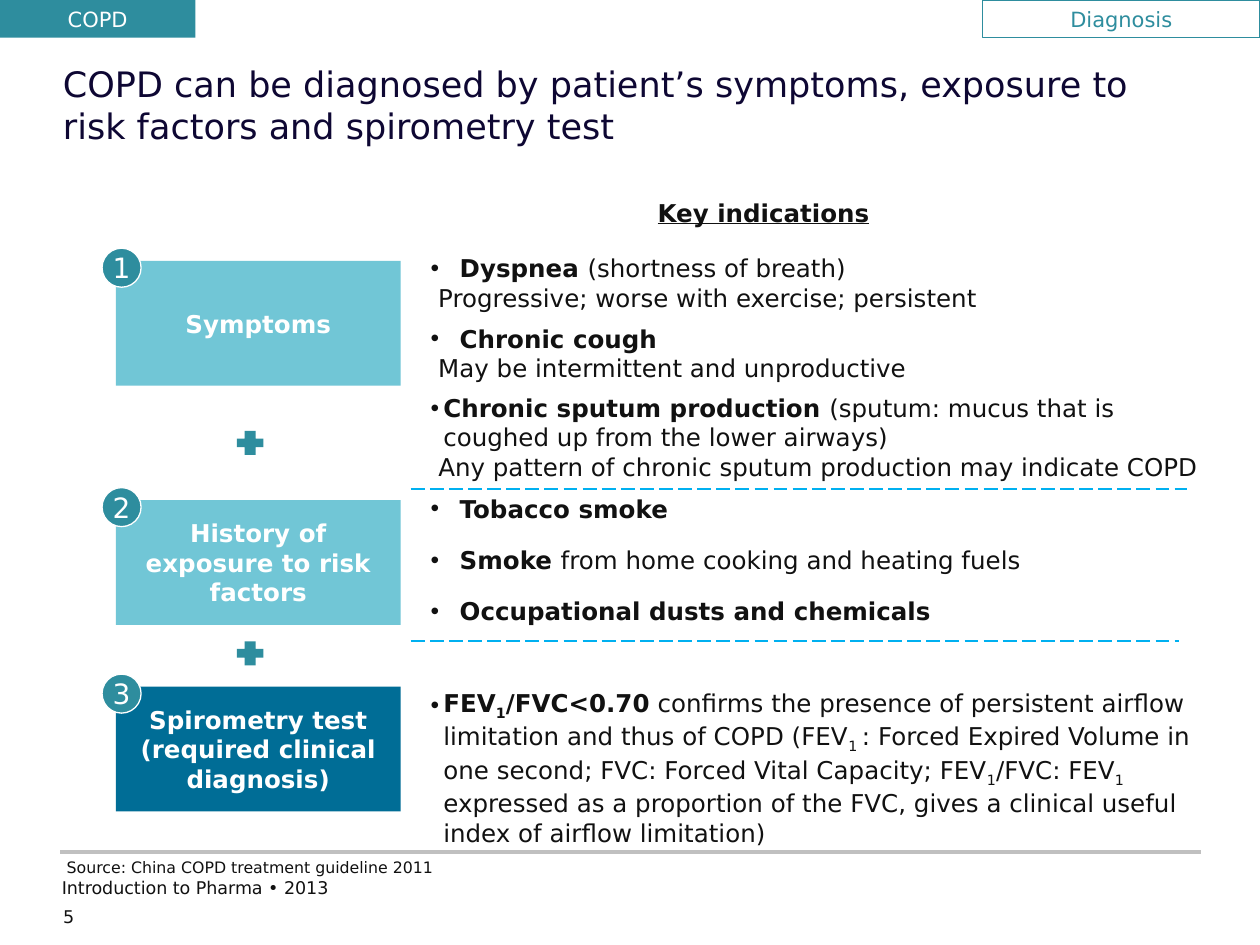
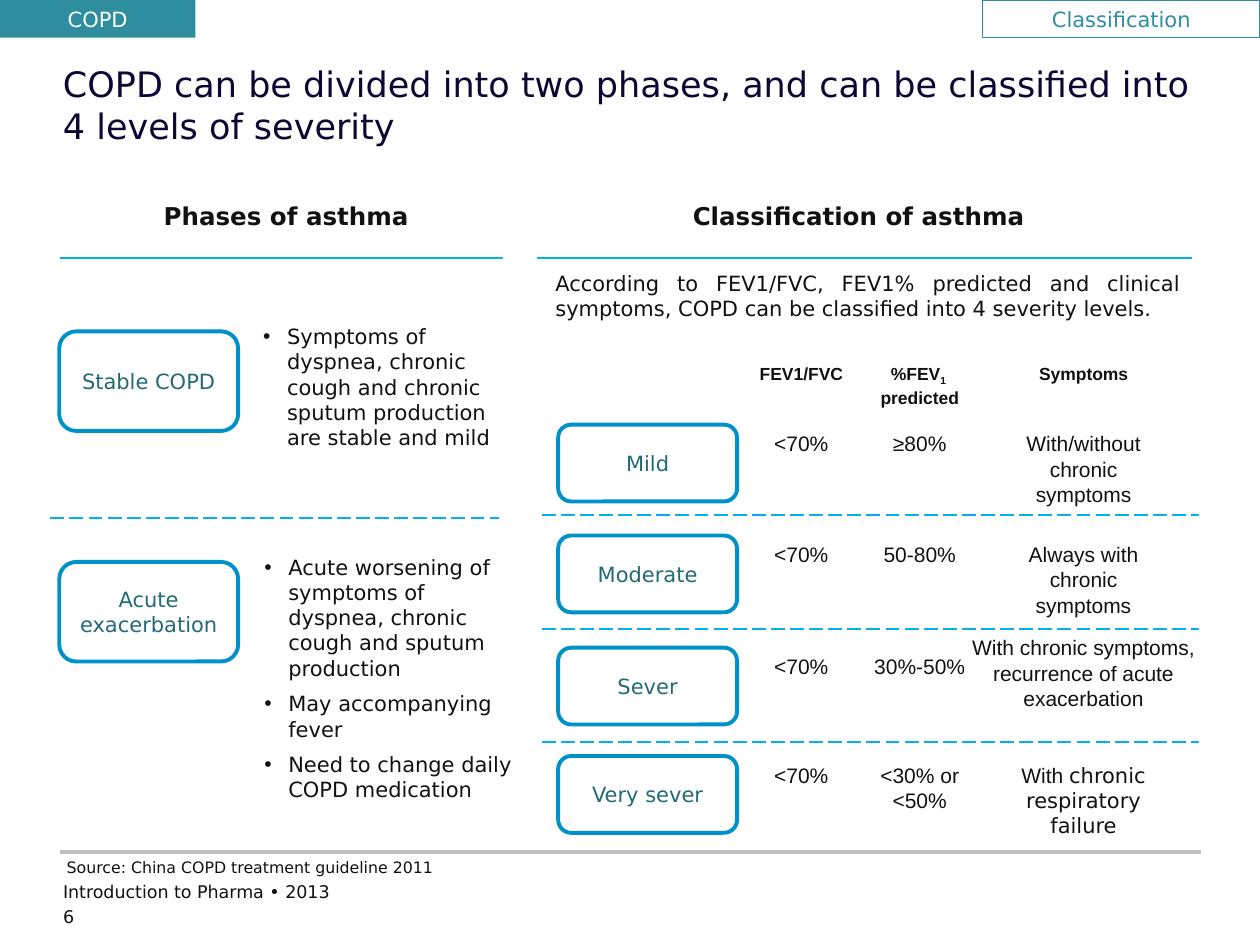
from dataclasses import dataclass
from typing import NamedTuple

import pptx
import pptx.dml.color
import pptx.enum.dml
import pptx.enum.shapes
import pptx.enum.text
import pptx.oxml.ns
import pptx.util
from lxml import etree
from pptx.util import Inches

TEAL = "2E8D9E"
PALE_TEAL = "71C6D6"
DEEP_BLUE = "006D96"
OUTLINE_BLUE = "0091C8"
RULE_BLUE = "00B0F0"
BOX_TEXT = "236A76"
TITLE_NAVY = "0E0733"
INK = "111111"
GREY = "C0C0C0"
WHITE = "FFFFFF"

MAIN_FONT = "DejaVu Sans"
TABLE_FONT = "Arial"

SHAPE = pptx.enum.shapes.MSO_SHAPE
ALIGN = pptx.enum.text.PP_ALIGN
ANCHOR = pptx.enum.text.MSO_ANCHOR
NO_INSETS = (0, 0)


class Run(NamedTuple):
    text: str
    bold: bool = False
    sub: bool = False
    font: str | None = None


class Para(NamedTuple):
    """A paragraph; hang is the width kept for its bullet, 0 for no bullet."""
    runs: list[Run]
    hang: float = 0
    left: float = 0
    before: float = 0


class Box(NamedTuple):
    left: float
    top: float
    width: float
    height: float


@dataclass
class Step:
    label: str
    fill: str
    top: float


@dataclass
class Indication:
    top: float
    paras: list[Para]
    width: float = 5.27
    height: float = 0.57


@dataclass
class Phase:
    label: str
    top: float
    signs_left: float
    signs_height: float
    signs: list[str]


@dataclass
class Severity:
    label: str
    top: float
    predicted: str
    symptoms: str | list[Run]
    symptoms_width: float
    symptoms_rise: float = 0


def rgb(color: str) -> pptx.dml.color.RGBColor:
    return pptx.dml.color.RGBColor.from_string(color)


def set_bullet(p, hang: float, left: float) -> None:
    pPr = p._p.get_or_add_pPr()
    pPr.set("marL", str(Inches(left + hang)))
    pPr.set("indent", str(-Inches(hang)))
    if hang:
        qn = pptx.oxml.ns.qn
        etree.SubElement(pPr, qn("a:buFont")).set("typeface", TABLE_FONT)
        etree.SubElement(pPr, qn("a:buChar")).set("char", "•")


def write(sp, text: str | list[Para], *, size: float = 12, color: str = INK,
          font: str = MAIN_FONT, bold: bool = False, underline: bool = False,
          align=ALIGN.LEFT, anchor=ANCHOR.TOP, insets=(0.1, 0.05),
          wrap: bool = True) -> None:
    """Fill a shape with text; each line of a plain string is a paragraph."""
    tf = sp.text_frame
    tf.word_wrap = wrap
    tf.vertical_anchor = anchor
    tf.margin_left = tf.margin_right = Inches(insets[0])
    tf.margin_top = tf.margin_bottom = Inches(insets[1])
    if isinstance(text, str):
        text = [Para([Run(line)]) for line in text.split("\n")]
    for i, para in enumerate(text):
        p = tf.add_paragraph() if i else tf.paragraphs[0]
        set_bullet(p, para.hang, para.left)
        p.alignment = align
        p.space_before = pptx.util.Pt(para.before)
        for run in para.runs:
            r = p.add_run()
            r.text = run.text
            r.font.size = pptx.util.Pt(size)
            r.font.name = run.font or font
            r.font.bold = bold or run.bold
            r.font.underline = underline
            r.font.color.rgb = rgb(color)
            if run.sub:
                r._r.get_or_add_rPr().set("baseline", "-25000")


def add_text(s, box: Box, text: str | list[Para], **style) -> None:
    write(s.shapes.add_textbox(*map(Inches, box)), text, **style)


def add_shape(s, kind, box: Box, *, fill: str | None = None, line: str | None = None,
              weight: float = 0.75, adj: float | None = None, text: str = "",
              **style) -> None:
    sp = s.shapes.add_shape(kind, *map(Inches, box))
    sp.shadow.inherit = False
    if fill:
        sp.fill.solid()
        sp.fill.fore_color.rgb = rgb(fill)
    else:
        sp.fill.background()
    if line:
        sp.line.color.rgb = rgb(line)
        sp.line.width = pptx.util.Pt(weight)
    else:
        sp.line.fill.background()
    if adj is not None:
        sp.adjustments[0] = adj
    if text:
        write(sp, text, align=ALIGN.CENTER, **style)


def add_rule(s, left: float, right: float, y: float, *, color: str = RULE_BLUE,
             weight: float = 1, dashed: bool = False) -> None:
    cx = s.shapes.add_connector(pptx.enum.shapes.MSO_CONNECTOR.STRAIGHT,
                                *map(Inches, (left, y, right, y)))
    cx.line.color.rgb = rgb(color)
    cx.line.width = pptx.util.Pt(weight)
    if dashed:
        cx.line.dash_style = pptx.enum.dml.MSO_LINE.LONG_DASH
    etree.SubElement(cx._element.spPr, pptx.oxml.ns.qn("a:effectLst"))


def add_outlined_box(s, box: Box, label: str) -> None:
    add_shape(s, SHAPE.ROUNDED_RECTANGLE, box, line=OUTLINE_BLUE, weight=2.25,
              adj=0.17, text=label, color=BOX_TEXT, anchor=ANCHOR.MIDDLE)


def add_base_slide(prs, number: int, topic: str, title: str, footer: Box):
    """Add a slide with the title, top tabs and footer that all slides share."""
    s = prs.slides.add_slide(prs.slide_layouts[6])
    add_rule(s, 0.48, 9.53, 6.76, color=GREY, weight=2)
    add_text(s, Box(0.5, 7.19, 0.48, 0.2), str(number), size=10, insets=NO_INSETS)
    add_text(s, Box(0.5, 0.5, 9, 1), title, size=20, color=TITLE_NAVY, insets=NO_INSETS)
    add_text(s, footer, "Introduction to Pharma • 2013", size=10, insets=NO_INSETS)
    add_text(s, Box(0.53, 6.81, 2.96, 0.15), "Source: China COPD treatment guideline 2011",
             size=9, insets=NO_INSETS, wrap=False)
    add_shape(s, SHAPE.RECTANGLE, Box(7.8, 0, 2.2, 0.3), line=TEAL, text=topic,
              color=TEAL, anchor=ANCHOR.MIDDLE, wrap=False)
    add_shape(s, SHAPE.RECTANGLE, Box(0, 0, 1.55, 0.3), fill=TEAL, text="COPD", color=WHITE)
    return s


def symptom(name: str, detail: str, note: str, hang: float) -> list[Para]:
    return [Para([Run(name, bold=True), Run(detail)], hang=hang),
            Para([Run(note)], left=0.06)]


STEPS = [
    Step("Symptoms", PALE_TEAL, 2.07),
    Step("History of exposure to risk factors", PALE_TEAL, 3.97),
    Step("Spirometry test\n(required clinical diagnosis)", DEEP_BLUE, 5.45),
]

WIDE_HANG, TIGHT_HANG = 0.23, 0.1
INDICATIONS = [
    Indication(1.96, symptom("Dyspnea ", "(shortness of breath)",
                             "Progressive; worse with exercise; persistent", WIDE_HANG)),
    Indication(2.52, symptom("Chronic cough", "",
                             "May be intermittent and unproductive", WIDE_HANG)),
    Indication(3.07, symptom("Chronic sputum production ",
                             "(sputum: mucus that is coughed up from the lower airways)",
                             "Any pattern of chronic sputum production may indicate COPD",
                             TIGHT_HANG), 6.45, 0.81),
    Indication(3.87, [Para([Run("Tobacco smoke", bold=True)], WIDE_HANG)], height=0.34),
    Indication(4.28, [Para([Run("Smoke ", bold=True),
                            Run("from home cooking and heating fuels")], WIDE_HANG)],
               height=0.34),
    Indication(4.68, [Para([Run("Occupational dusts and chemicals", bold=True)], WIDE_HANG)],
               height=0.34),
    Indication(5.41, [Para([
        Run("FEV", bold=True), Run("1", bold=True, sub=True), Run("/FVC<0.70", bold=True),
        Run(" confirms the presence of persistent airflow limitation and thus of COPD (FEV"),
        Run("1 ", sub=True),
        Run(": Forced Expired Volume in one second; FVC: Forced Vital Capacity; FEV"),
        Run("1", sub=True), Run("/FVC: FEV"), Run("1 ", sub=True),
        Run("expressed as a proportion of the FVC, gives a clinical useful index of "
            "airflow limitation)"),
    ], TIGHT_HANG)], 6.45, 1.28),
]

PHASES = [
    Phase("Stable COPD", 2.63, 1.99, 1.11,
          ["Symptoms of dyspnea, chronic cough and chronic sputum production "
           "are stable and mild"]),
    Phase("Acute exacerbation", 4.46, 2, 2.12,
          ["Acute worsening of symptoms of dyspnea, chronic cough and sputum production",
           "May accompanying fever",
           "Need to change daily COPD medication"]),
]

SEVERITIES = [
    Severity("Mild", 3.37, "≥80%", "With/without chronic symptoms", 1.32),
    Severity("Moderate", 4.25, "50-80%", "Always with chronic symptoms", 1.41),
    Severity("Sever", 5.14, "30%-50%",
             "With chronic symptoms, recurrence of acute exacerbation", 2.06, 0.15),
    Severity("Very sever", 6, "<30% or\n<50%",
             [Run("With "), Run("chronic respiratory failure", font=MAIN_FONT)], 1.61),
]
RATIO_X, PREDICTED_X, SYMPTOMS_X = 6.36, 7.3, 8.6


def build_diagnosis(prs) -> None:
    s = add_base_slide(prs, 5, "Diagnosis",
                       "COPD can be diagnosed by patient’s symptoms, exposure to risk "
                       "factors and spirometry test", Box(0.49, 6.96, 6.68, 0.23))
    add_text(s, Box(5.12, 1.52, 2.01, 0.34), "Key indications", size=14, bold=True,
             underline=True)
    for top in (3.42, 5.09):
        add_shape(s, SHAPE.CROSS, Box(1.88, top, 0.21, 0.19), fill=TEAL, adj=0.32)
    for number, step in enumerate(STEPS, 1):
        add_shape(s, SHAPE.RECTANGLE, Box(0.92, step.top, 2.26, 0.99), fill=step.fill,
                  text=step.label, size=14, color=WHITE, bold=True, anchor=ANCHOR.MIDDLE)
        add_shape(s, SHAPE.OVAL, Box(0.81, step.top - 0.1, 0.31, 0.31), fill=TEAL,
                  line=WHITE, text=str(number), size=16, color=WHITE,
                  anchor=ANCHOR.MIDDLE, wrap=False)
    for item in INDICATIONS:
        add_text(s, Box(3.32, item.top, item.width, item.height), item.paras, size=14)
    add_rule(s, 3.26, 9.42, 3.88, dashed=True)
    add_rule(s, 3.26, 9.36, 5.09, dashed=True)


def add_cell(s, center: float, top: float, width: float, height: float,
             text: str | list[Para], **style) -> None:
    """Add a text box centred on a column of the severity grid."""
    add_text(s, Box(center - width / 2, top, width, height), text,
             font=TABLE_FONT, align=ALIGN.CENTER, **style)


def build_classification(prs) -> None:
    s = add_base_slide(prs, 6, "Classification",
                       "COPD can be divided into two phases, and can be classified into "
                       "4 levels of severity", Box(0.5, 6.99, 6.68, 0.23))
    add_text(s, Box(1.2, 1.55, 2.52, 0.34), "Phases of asthma", size=14, bold=True)
    add_text(s, Box(5.4, 1.55, 3.2, 0.34), "Classification of asthma", size=14, bold=True)
    add_rule(s, 0.48, 3.99, 2.05)
    add_rule(s, 4.26, 9.46, 2.05)
    add_text(s, Box(4.31, 2.1, 5.16, 0.5),
             "According to FEV1/FVC, FEV1% predicted and clinical symptoms, COPD can be "
             "classified into 4 severity levels.", align=ALIGN.JUSTIFY)

    for phase in PHASES:
        add_outlined_box(s, Box(0.47, phase.top, 1.42, 0.79), phase.label)
        signs = [Para([Run(sign)], hang=0.19, before=6 if i else 0)
                 for i, sign in enumerate(phase.signs)]
        add_text(s, Box(phase.signs_left, phase.top - 0.11, 2.17, phase.signs_height), signs)
    add_rule(s, 0.4, 3.96, 4.11, dashed=True)

    predicted_head = [Para([Run("%FEV"), Run("1 ", sub=True)]), Para([Run("predicted")])]
    for center, width, height, head in ((RATIO_X, 1.13, 0.27, "FEV1/FVC"),
                                        (PREDICTED_X, 1.27, 0.44, predicted_head),
                                        (SYMPTOMS_X, 1.11, 0.27, "Symptoms")):
        add_cell(s, center, 2.83, width, height, head, size=10, bold=True)
    for level in SEVERITIES:
        add_outlined_box(s, Box(4.43, level.top, 1.42, 0.61), level.label)
        add_cell(s, RATIO_X, level.top, 0.73, 0.3, "<70%")
        add_cell(s, PREDICTED_X, level.top, 1.07, 0.3, level.predicted)
        symptoms = level.symptoms if isinstance(level.symptoms, str) else [Para(level.symptoms)]
        add_cell(s, SYMPTOMS_X, level.top - level.symptoms_rise, level.symptoms_width, 0.71,
                 symptoms)
    for i in range(len(SEVERITIES) - 1):
        add_rule(s, 4.3, 9.52, 4.09 + 0.9 * i, dashed=True)


def main() -> None:
    prs = pptx.Presentation()
    prs.slide_width, prs.slide_height = Inches(10), Inches(7.5)
    build_diagnosis(prs)
    build_classification(prs)
    prs.save("out.pptx")


if __name__ == "__main__":
    main()
